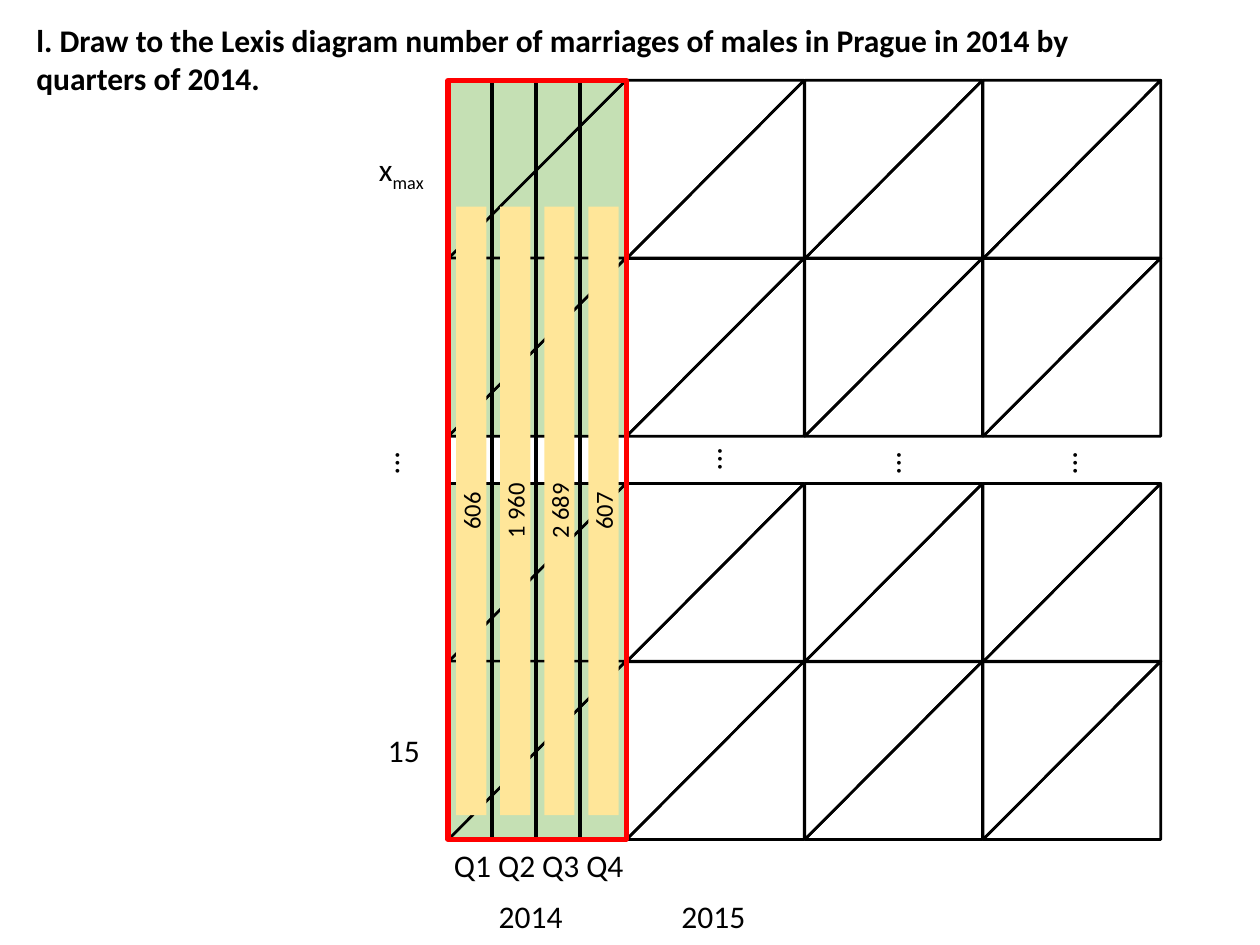
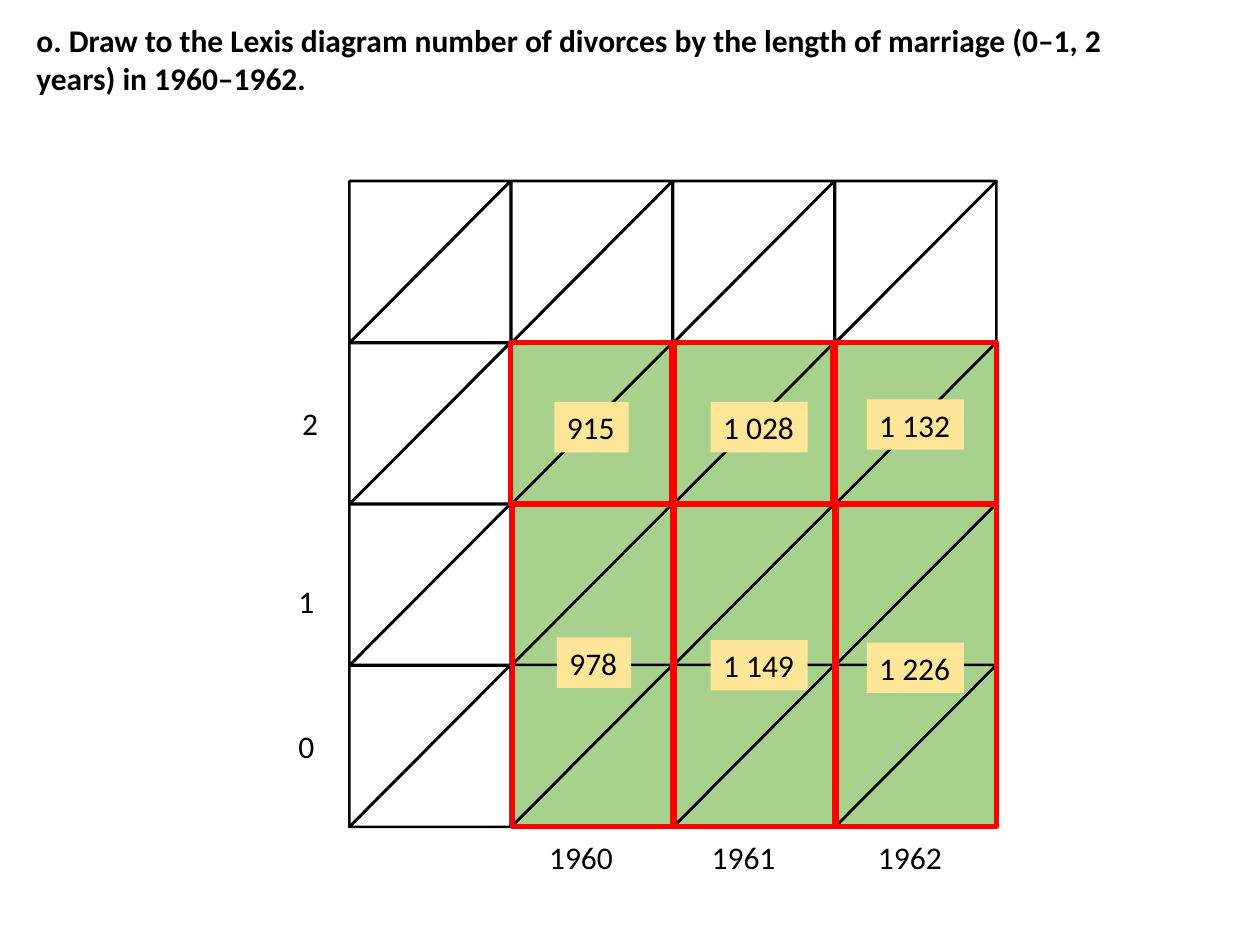
from dataclasses import dataclass
from itertools import product

from lxml.etree import SubElement
from pptx import Presentation
from pptx.dml.color import RGBColor
from pptx.enum.shapes import MSO_CONNECTOR, MSO_SHAPE
from pptx.enum.text import MSO_AUTO_SIZE, PP_ALIGN
from pptx.oxml.ns import qn
from pptx.util import Pt

PX = 4572  # 200 px to the inch


@dataclass(frozen=True)
class Theme:
    font: str = "Calibri"
    ink: RGBColor = RGBColor(0x00, 0x00, 0x00)
    paper: RGBColor = RGBColor(0xFF, 0xFF, 0xFF)
    frame: RGBColor = RGBColor(0xFF, 0x00, 0x00)
    value: RGBColor = RGBColor(0xFF, 0xE6, 0x99)
    marriages: RGBColor = RGBColor(0xC5, 0xE0, 0xB4)
    divorces: RGBColor = RGBColor(0xA9, 0xD1, 0x8E)
    body_size: int = 18
    bar_size: int = 14
    grid_weight: float = 1.5
    quarter_weight: float = 2.25
    frame_weight: float = 3


theme = Theme()


def add_outline(slide, preset, at, color, weight, fill=None, rotation=0):
    """Add a preset shape with a coloured outline; at is left, top, width, height in px."""
    outline = slide.shapes.add_shape(preset, *[n * PX for n in at])
    outline.shadow.inherit = False
    outline.rotation = rotation
    outline.line.color.rgb = color
    outline.line.width = Pt(weight)
    if fill is None:
        outline.fill.background()
    else:
        outline.fill.solid()
        outline.fill.fore_color.rgb = fill


def add_label(slide, text, at, fill=None, rotation=0, size=theme.body_size,
              bold=False, wrap=False, margin=None, align=PP_ALIGN.LEFT):
    """Add a line of text and return its paragraph; at is in px."""
    label = slide.shapes.add_textbox(*[n * PX for n in at])
    label.rotation = rotation
    if fill is not None:
        label.fill.solid()
        label.fill.fore_color.rgb = fill
    frame = label.text_frame
    frame.word_wrap = wrap
    frame.auto_size = MSO_AUTO_SIZE.SHAPE_TO_FIT_TEXT
    if margin is not None:
        frame.margin_left = frame.margin_right = margin
        frame.margin_top = frame.margin_bottom = margin
    frame.text = text
    paragraph = frame.paragraphs[0]
    paragraph.alignment = align
    font = paragraph.runs[0].font
    font.name, font.size, font.bold = theme.font, Pt(size), bold
    font.color.rgb = theme.ink
    return paragraph


prs = Presentation()
prs.slide_width, prs.slide_height = 2000 * PX, 1500 * PX
marriages, divorces = [prs.slides.add_slide(prs.slide_layouts[6]) for _ in range(2)]

# Lexis grids: every cell is split along its diagonal into two triangles
lexis_grids = [
    # slide, left, row tops, cell width, cell height, shading, first shaded row, shaded columns
    (marriages, 711, [128, 410, 768, 1050], 283, 282, theme.marriages, 0, [0]),
    (divorces, 554, [288, 544, 800, 1056], 257, 256, theme.divorces, 1, [1, 2, 3]),
]
for slide, left, tops, width, height, shading, first_row, shaded_columns in lexis_grids:
    for (row, top), column in product(enumerate(tops), range(4)):
        shaded = row >= first_row and column in shaded_columns
        for rotation in (270, 90):
            add_outline(slide, MSO_SHAPE.RIGHT_TRIANGLE,
                        (left + column * width, top, width, height),
                        theme.ink, theme.grid_weight, shading if shaded else None, rotation)

titles = [
    (marriages, "l. Draw to the Lexis diagram number of marriages of males in Prague "
                "in 2014 by quarters of 2014."),
    (divorces, "o. Draw to the Lexis diagram number of divorces by the length of marriage "
               "(0–1, 2 years) in 1960–1962."),
]
for slide, title in titles:
    add_label(slide, title, (38, 24, 1736, 142), bold=True, wrap=True)

# Slide 1: marriages by quarter
for year, left in (("2014", 772), ("2015", 1062)):
    add_label(marriages, year, (left, 1414, 142, 80))

for left, top, fill in ((610, 696, theme.paper), (1122, 690, None),
                        (1406, 696, None), (1686, 696, None)):
    add_label(marriages, "…", (left, top, 76, 80), fill, rotation=90)

add_label(marriages, "15", (596, 1150, 92, 80), theme.paper)
oldest_age = add_label(marriages, "x", (582, 228, 120, 80), theme.paper)
subscript = oldest_age.add_run()
subscript.text = "max"
subscript.font.name, subscript.font.size = theme.font, Pt(theme.body_size)
subscript.font.color.rgb = theme.ink
subscript._r.get_or_add_rPr().set("baseline", "-25000")

quarter_width = 70
for quarter, count in enumerate(["606", "1 960", "2 689", "607"]):
    offset = quarter * quarter_width
    start = (711 + offset) * PX
    divider = marriages.shapes.add_connector(
        MSO_CONNECTOR.STRAIGHT, start, 128 * PX, start, 1332 * PX)
    divider.line.color.rgb = theme.ink
    divider.line.width = Pt(theme.quarter_weight)
    SubElement(divider._element.spPr, qn("a:effectLst"))
    add_label(marriages, f"Q{quarter + 1}", (701 + offset, 1333, 100, 80))
    add_label(marriages, count, (265 + offset, 787, 966, 48), theme.value, rotation=270,
              size=theme.bar_size, wrap=True, margin=0, align=PP_ALIGN.CENTER)

add_outline(marriages, MSO_SHAPE.RECTANGLE, (711, 128, 283, 1204),
            theme.frame, theme.frame_weight)

# Slide 2: divorces by length of marriage
for length, left, top in (("0", 454, 1144), ("1", 454, 914), ("2", 460, 632)):
    add_label(divorces, length, (left, top, 66, 80))
for year, left in (("1960", 852), ("1961", 1110), ("1962", 1374)):
    add_label(divorces, year, (left, 1320, 174, 98))

duration_groups = [
    # counts with left, top, width; then first frame and the step to the next
    ([("978", 884, 1012, 118), ("1 149", 1128, 1016, 154), ("1 226", 1376, 1020, 154)],
     (814, 800, 254, 512), 257),
    ([("915", 880, 638, 118), ("1 028", 1128, 638, 154), ("1 132", 1376, 634, 154)],
     (810, 544, 260, 256), 256),
]
for counts, (frame_left, frame_top, frame_width, frame_height), step in duration_groups:
    for year, (count, left, top, width) in enumerate(counts):
        add_label(divorces, count, (left, top, width, 80), theme.value)
        add_outline(divorces, MSO_SHAPE.RECTANGLE,
                    (frame_left + year * step, frame_top, frame_width, frame_height),
                    theme.frame, theme.frame_weight)

prs.save("out.pptx")
